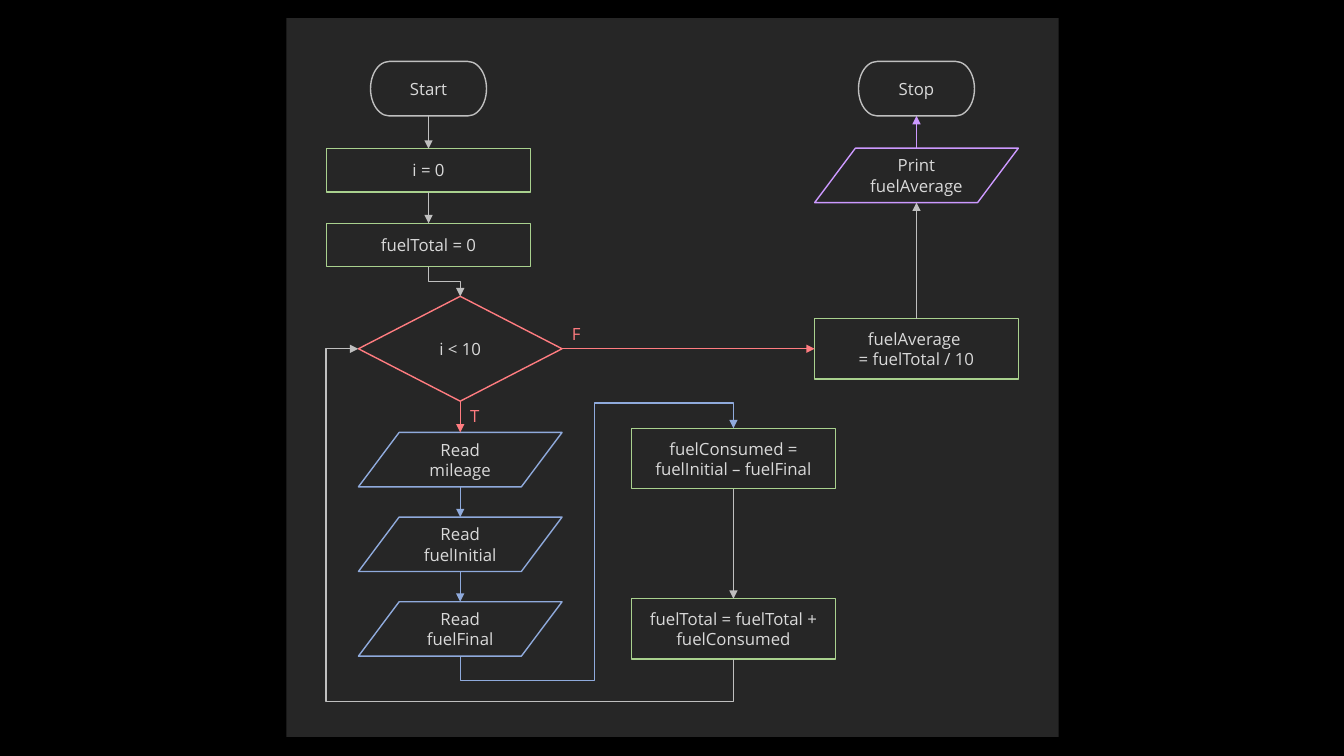
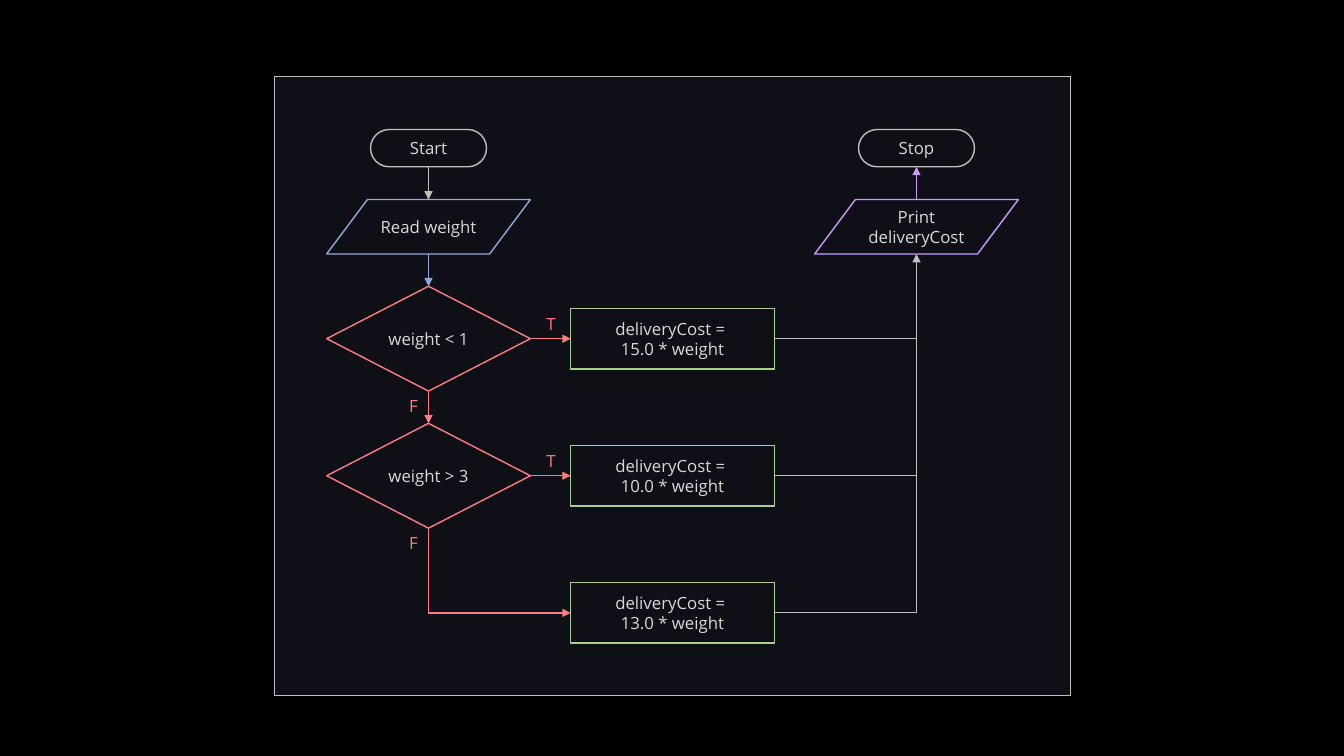
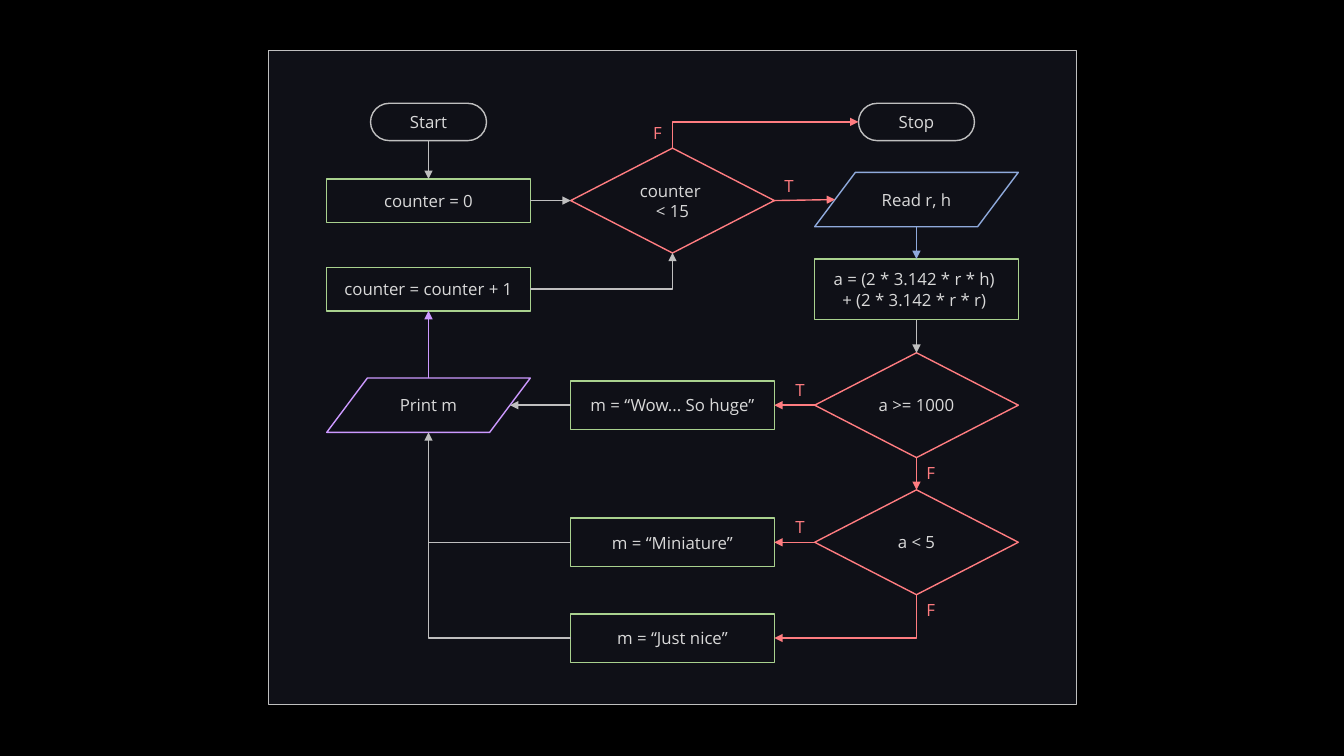
from dataclasses import dataclass

from lxml import etree
from pptx import Presentation
from pptx import util as u
from pptx.dml.color import RGBColor
from pptx.enum import shapes, text
from pptx.oxml.ns import qn


@dataclass(frozen=True)
class Theme:
    font: str = "Open Sans"
    size: int = 12
    stroke: int = 1
    backdrop: str = "000000"
    charcoal: str = "262626"
    navy: str = "0F1017"
    ink: str = "D9D9D9"
    flow: str = "BFBFBF"
    process: str = "A9D18E"
    read: str = "8FAADC"
    show: str = "CC99FF"
    branch: str = "FF7C80"


THEME = Theme()
WIDTH, HEIGHT = 13.33, 7.5

# Grid: column centres across, fine rows down (75 rows to the slide)
FIRST_COLUMN, COLUMN = 4.25, 2.42
ROW = HEIGHT / 75
NODE_WIDTH, TERMINAL_WIDTH = 20.2, 11.5  # in rows
ONE_LINE, ROOMY, TWO_LINES = 4.3, 4.8, 6
LABEL_WIDTH, LABEL_HEIGHT = 2.9, 3

KIND = shapes.MSO_SHAPE
# Connection site numbers: most shapes have four, the slanted one has six
SITES = {"top": 0, "left": 1, "bottom": 2, "right": 3}
SLANTED_SITES = {"top": 1, "left": 2, "bottom": 4, "right": 5}


def column_x(column):
    return u.Inches(FIRST_COLUMN + column * COLUMN)


def rows(count):
    return u.Inches(count * ROW)


def site(node, side):
    """Position of the middle of one side of a node."""
    slant = 0.1 if node.auto_shape_type == KIND.FLOWCHART_DATA else 0
    across, down = {"top": (0.5, 0), "bottom": (0.5, 1),
                    "left": (slant, 0.5), "right": (1 - slant, 0.5)}[side]
    return (int(node.left + across * node.width),
            int(node.top + down * node.height))


class Flowchart:
    def __init__(self, theme):
        self.theme = theme
        self.deck = Presentation()
        self.deck.slide_width = u.Inches(WIDTH)
        self.deck.slide_height = u.Inches(HEIGHT)
        self.slide = None

    def start_slide(self):
        self.slide = self.deck.slides.add_slide(self.deck.slide_layouts[6])
        fill = self.slide.background.fill
        fill.solid()
        fill.fore_color.rgb = RGBColor.from_string(self.theme.backdrop)

    # Shapes
    def stroke(self, line, color):
        line.color.rgb = RGBColor.from_string(color)
        line.width = u.Pt(self.theme.stroke)

    def set_words(self, frame, words, color):
        frame.text = words
        for paragraph in frame.paragraphs:
            paragraph.font.name = self.theme.font
            paragraph.font.size = u.Pt(self.theme.size)
            paragraph.font.color.rgb = RGBColor.from_string(color)

    def box(self, kind, column, row, width, height):
        """A shape centred on a column and a row."""
        shape = self.slide.shapes.add_shape(
            kind, column_x(column) - rows(width) // 2, rows(row - height / 2),
            rows(width), rows(height))
        shape.shadow.inherit = False
        return shape

    def panel(self, row, width, height, color, border=None):
        panel = self.box(KIND.RECTANGLE, 1, row, width, height)
        panel.fill.solid()
        panel.fill.fore_color.rgb = RGBColor.from_string(color)
        if border:
            self.stroke(panel.line, border)
        else:
            panel.line.fill.background()

    def node(self, kind, words, column, row, width, height, color):
        node = self.box(kind, column, row, width, height)
        node.fill.background()
        self.stroke(node.line, color)
        self.set_words(node.text_frame, words, self.theme.ink)
        node.text_frame.vertical_anchor = text.MSO_ANCHOR.MIDDLE
        for paragraph in node.text_frame.paragraphs:
            paragraph.alignment = text.PP_ALIGN.CENTER
        return node

    def terminal(self, words, column, row, height=3.7):
        return self.node(KIND.FLOWCHART_TERMINATOR, words, column, row,
                         TERMINAL_WIDTH, height, self.theme.flow)

    def process(self, words, column, row, height=ONE_LINE):
        return self.node(KIND.RECTANGLE, words, column, row,
                         NODE_WIDTH, height, self.theme.process)

    def decision(self, words, column, row):
        return self.node(KIND.FLOWCHART_DECISION, words, column, row,
                         NODE_WIDTH, 10.4, self.theme.branch)

    def data(self, words, column, row, color):
        return self.node(KIND.FLOWCHART_DATA, words, column, row,
                         NODE_WIDTH, 5.4, color)

    def label(self, words, node, side, beside=None, gap=0):
        """A branch label whose corner touches the side of a node."""
        x, y = site(node, side)
        left = x - rows(LABEL_WIDTH) if (beside or side) == "left" else x
        top = y if side == "bottom" else y - rows(LABEL_HEIGHT)
        label = self.slide.shapes.add_textbox(
            left + rows(gap), top, rows(LABEL_WIDTH), rows(LABEL_HEIGHT))
        label.text_frame.word_wrap = False
        self.set_words(label.text_frame, words, self.theme.branch)

    # Connectors
    def connector(self, kind, begin, end, color, head=True):
        link = self.slide.shapes.add_connector(kind, *begin, *end)
        self.stroke(link.line, color)
        outline = link._element.spPr
        if head:
            etree.SubElement(outline.find(qn("a:ln")), qn("a:tailEnd"),
                             type="triangle")
        etree.SubElement(outline, qn("a:effectLst"))
        return link

    def glue(self, link, tag, node, side):
        slanted = node.auto_shape_type == KIND.FLOWCHART_DATA
        sites = SLANTED_SITES if slanted else SITES
        etree.SubElement(link._element.nvCxnSpPr.cNvCxnSpPr, qn(tag),
                         id=str(node.shape_id), idx=str(sites[side]))

    def bend(self, link, begin, end, upright, turns):
        """Route an elbow; turns are the positions of its inner legs."""
        delta = [end[0] - begin[0], end[1] - begin[1]]
        first = 1 if upright else 0
        flips = (delta[0] < 0, delta[1] < 0)
        turned = 0
        if upright:
            turned, flips = 90, (delta[1] < 0, delta[0] > 0)
            if delta[0] > 0 and delta[1] > 0:
                turned, flips = 270, (True, False)
        link.width, link.height = abs(delta[first]), abs(delta[1 - first])
        link.left = (begin[0] + end[0] - link.width) // 2
        link.top = (begin[1] + end[1] - link.height) // 2
        frame = link._element.spPr.find(qn("a:xfrm"))
        frame.set("rot", str(turned * 60000))
        frame.set("flipH", str(int(flips[0])))
        frame.set("flipV", str(int(flips[1])))
        geometry = link._element.spPr.find(qn("a:prstGeom"))
        geometry.set("prst", f"bentConnector{len(turns) + 2}")
        guides = geometry.find(qn("a:avLst"))
        if guides is None:
            guides = etree.SubElement(geometry, qn("a:avLst"))
        for number, turn in enumerate(turns):
            axis = (first + number) % 2
            place = rows(turn) if axis else column_x(turn)
            share = round((place - begin[axis]) / delta[axis] * 100000)
            etree.SubElement(guides, qn("a:gd"), name=f"adj{number + 1}",
                             fmla=f"val {share}")

    def arrow(self, source, out, target, into, color, turns=()):
        begin, end = site(source, out), site(target, into)
        upright = out in ("top", "bottom")
        bent = turns or upright != (into in ("top", "bottom"))
        kind = shapes.MSO_CONNECTOR.ELBOW if bent else shapes.MSO_CONNECTOR.STRAIGHT
        link = self.connector(kind, begin, end, color)
        if bent:
            self.bend(link, begin, end, upright, turns)
        self.glue(link, "a:stCxn", source, out)
        self.glue(link, "a:endCxn", target, into)

    def chain(self, color, *nodes):
        """Arrows straight down through the nodes."""
        for upper, lower in zip(nodes, nodes[1:]):
            self.arrow(upper, "bottom", lower, "top", color)

    def join(self, node, side, column):
        """A plain line from a node to the trunk in another column."""
        begin = site(node, side)
        link = self.connector(shapes.MSO_CONNECTOR.STRAIGHT, begin,
                              (column_x(column), begin[1]), self.theme.flow, False)
        self.glue(link, "a:stCxn", node, side)


chart = Flowchart(THEME)
t = THEME


# Slide 1: average fuel over ten trips
def fuel_average():
    loop, totals = 0.13, 1.25
    chart.start_slide()
    chart.panel(37.45, 76.6, 71.3, t.charcoal)
    start = chart.terminal("Start", 0, 8.8, 5.4)
    stop = chart.terminal("Stop", 2, 8.8, 5.4)
    counter = chart.process("i = 0", 0, 16.9)
    total = chart.process("fuelTotal = 0", 0, 24.3)
    test = chart.decision("i < 10", loop, 34.6)
    reads = [chart.data(f"Read {name}", loop, 45.6 + 8.4 * i, t.read)
             for i, name in enumerate(["mileage", "fuelInitial", "fuelFinal"])]
    consumed = chart.process("fuelConsumed = fuelInitial – fuelFinal",
                             totals, 45.5, TWO_LINES)
    add = chart.process("fuelTotal = fuelTotal + fuelConsumed",
                        totals, 62.4, TWO_LINES)
    average = chart.process("fuelAverage \n= fuelTotal / 10", 2, 34.6, TWO_LINES)
    result = chart.data("Print fuelAverage", 2, 17.4, t.show)

    chart.chain(t.flow, start, counter, total)
    chart.arrow(total, "bottom", test, "top", t.flow, [27.9])
    chart.arrow(test, "right", average, "left", t.branch)
    chart.chain(t.branch, test, reads[0])
    chart.chain(t.read, *reads)
    chart.arrow(reads[-1], "bottom", consumed, "top", t.read, [67.5, 0.68, 40])
    chart.chain(t.flow, consumed, add)
    chart.arrow(add, "bottom", test, "left", t.flow, [69.6, -0.42])
    chart.arrow(average, "top", result, "bottom", t.flow)
    chart.arrow(result, "top", stop, "bottom", t.show)
    chart.label("T", test, "bottom")
    chart.label("F", test, "right")


# Slide 2: delivery cost by weight
def delivery_cost():
    chart.start_slide()
    chart.panel(38.3, 78.9, 61.4, t.navy, t.flow)
    start = chart.terminal("Start", 0, 14.7)
    stop = chart.terminal("Stop", 2, 14.7)
    weight = chart.data("Read weight", 0, 22.5, t.read)
    result = chart.data("Print deliveryCost", 2, 22.5, t.show)
    levels = [33.6 + 13.6 * i for i in range(3)]
    light, heavy = [chart.decision(f"weight {limit}", 0, row)
                    for limit, row in zip(["< 1", "> 3"], levels)]
    costs = [chart.process(f"deliveryCost = \n{rate} * weight", 1, row, TWO_LINES)
             for rate, row in zip(["15.0", "10.0", "13.0"], levels)]

    chart.chain(t.flow, start, weight)
    chart.chain(t.read, weight, light)
    chart.chain(t.branch, light, heavy)
    chart.arrow(heavy, "bottom", costs[2], "left", t.branch)
    for test, cost in zip([light, heavy], costs):
        chart.arrow(test, "right", cost, "left", t.branch)
        chart.join(cost, "right", 2)
        chart.label("T", test, "right", gap=0.6)
        chart.label("F", test, "bottom", "left")
    chart.arrow(costs[2], "right", result, "bottom", t.flow)
    chart.arrow(result, "top", stop, "bottom", t.show)


# Slide 3: comments on the areas of fifteen cylinders
def cylinder_areas():
    chart.start_slide()
    chart.panel(37.45, 80.1, 64.9, t.navy, t.flow)
    start = chart.terminal("Start", 0, 12.1)
    stop = chart.terminal("Stop", 2, 12.1)
    reset = chart.process("counter = 0", 0, 19.9)
    test = chart.decision("counter \n< 15", 1, 19.9)
    sizes = chart.data("Read r, h", 2, 19.8, t.read)
    step = chart.process("counter = counter + 1", 0, 28.7)
    area = chart.process("a = (2 * 3.142 * r * h) \n+ (2 * 3.142 * r * r) ",
                         2, 28.7, TWO_LINES)
    levels = [40.2, 53.8, 63.3]
    large, small = [chart.decision(f"a {limit}", 2, row)
                    for limit, row in zip([">= 1000", "< 5"], levels)]
    huge, tiny, nice = [
        chart.process(f"m = “{comment}”", 1, row, ROOMY)
        for comment, row in zip(["Wow... So huge", "Miniature", "Just nice"], levels)]
    result = chart.data("Print m", 0, levels[0], t.show)

    chart.chain(t.flow, start, reset)
    chart.arrow(reset, "right", test, "left", t.flow)
    chart.arrow(step, "right", test, "bottom", t.flow)
    chart.arrow(test, "top", stop, "left", t.branch)
    chart.arrow(test, "right", sizes, "left", t.branch)
    chart.chain(t.read, sizes, area)
    chart.chain(t.flow, area, large)
    chart.chain(t.branch, large, small)
    for check, comment in [(large, huge), (small, tiny)]:
        chart.arrow(check, "left", comment, "right", t.branch)
        chart.label("T", check, "left")
        chart.label("F", check, "bottom")
    chart.arrow(small, "bottom", nice, "right", t.branch)
    chart.arrow(huge, "left", result, "right", t.flow)
    chart.join(tiny, "left", 0)
    chart.arrow(nice, "left", result, "bottom", t.flow)
    chart.arrow(result, "top", step, "bottom", t.show)
    chart.label("T", test, "right")
    chart.label("F", test, "top", "left")


fuel_average()
delivery_cost()
cylinder_areas()
chart.deck.save("out.pptx")
